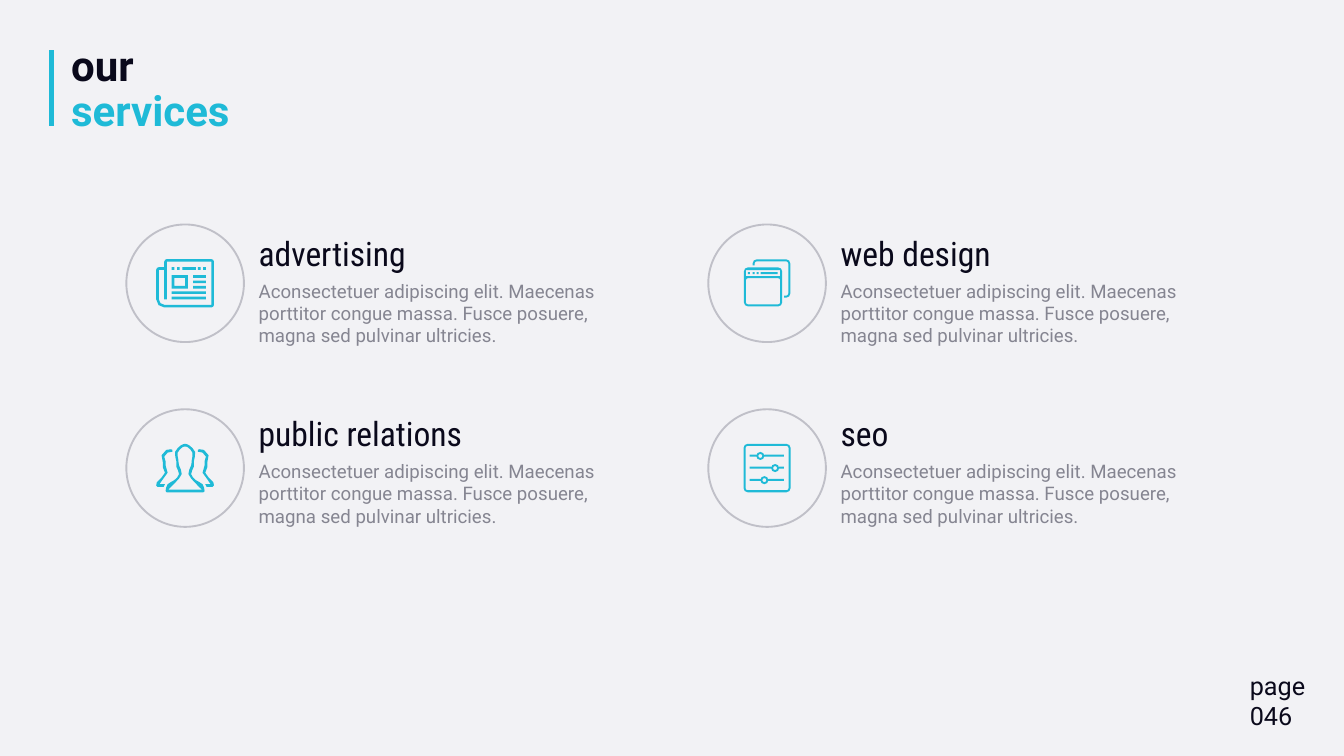
from dataclasses import dataclass

from lxml import etree
from pptx import Presentation
from pptx.dml.color import RGBColor
from pptx.enum import shapes, text
from pptx.oxml import ns
from pptx.util import Inches, Pt


@dataclass(frozen=True)
class Theme:
    background: str = "F2F2F5"
    accent: str = "1FBAD7"
    ink: str = "0A091B"
    muted: str = "858591"
    ring: str = "C0C0C8"
    font: str = "Roboto"
    heading_font: str = "Roboto Condensed"
    title_size: int = 45
    heading_size: int = 36
    page_size: int = 27
    body_size: int = 20


THEME = Theme()
CIRCLE = 1.75
COLUMNS = (1.88, 10.54)
ROWS = ((3.34, 3.41), (6.09, 6.09))  # circle top, heading top
DESCRIPTION = ("Aconsectetuer adipiscing elit. Maecenas porttitor congue massa. "
               "Fusce posuere, magna sed pulvinar ultricies.")


def rgb(value):
    return RGBColor.from_string(value)


# Icon contours: lists of points in inches from the icon's top left corner.

def rounded(corners):
    """Polygon from (x, y, radius) corners, each rounded with three points."""
    points = []
    for index, (x, y, radius) in enumerate(corners):
        if not radius:
            points.append((x, y))
            continue
        ends = []
        for near_x, near_y, _ in (corners[index - 1], corners[(index + 1) % len(corners)]):
            ratio = radius / ((near_x - x) ** 2 + (near_y - y) ** 2) ** 0.5
            ends.append((x + (near_x - x) * ratio, y + (near_y - y) * ratio))
        start, end = ends
        middle = tuple(0.42 * c + 0.29 * (a + b) for a, b, c in zip(start, end, (x, y)))
        points += [start, middle, end]
    return points


def box(left, top, width, height, radius=0):
    right, bottom = left + width, top + height
    return rounded([(left, top, radius), (right, top, radius),
                    (right, bottom, radius), (left, bottom, radius)])


def smooth(points):
    """Add the Catmull-Rom midpoint between neighbouring points."""
    padded = [points[0], *points, points[-1]]
    curve = []
    for a, b, c, d in zip(padded, padded[1:], padded[2:], padded[3:]):
        curve += [b, tuple((9 * (q + r) - p - s) / 16 for p, q, r, s in zip(a, b, c, d))]
    return curve + [points[-1]]


def newspaper():
    outer = [(0.12, 0, 0.04), (0.86, 0, 0.04), (0.86, 0.72, 0.04),
             (0, 0.72, 0.12), (0, 0.12, 0.04), (0.12, 0.12, 0)]
    inner = [(0.16, 0.04, 0), (0.82, 0.04, 0), (0.82, 0.68, 0), (0.04, 0.68, 0.08),
             (0.04, 0.16, 0), (0.12, 0.16, 0), (0.12, 0.6, 0), (0.16, 0.6, 0)]
    dots = [box(x, 0.12, 0.04, 0.04) for x in (0.23, 0.31, 0.62, 0.7)]
    short_lines = [box(0.55, y, 0.19, 0.04) for y in (0.24, 0.32, 0.4)]
    long_lines = [box(0.23, y, 0.51, 0.04) for y in (0.48, 0.56)]
    photo = [box(0.23, 0.24, 0.24, 0.2), box(0.27, 0.28, 0.16, 0.12)]
    return 0.86, 0.72, [rounded(outer), rounded(inner), box(0.39, 0.12, 0.2, 0.04),
                        *dots, *short_lines, *long_lines, *photo]


def people():
    width = 0.86
    front = [(0.43, 0), (0.37, 0.02), (0.28, 0.12), (0.3, 0.26), (0.3, 0.34),
             (0.34, 0.45), (0.27, 0.54), (0.17, 0.6), (0.14, 0.7), (0.16, 0.72)]
    front_inner = [(0.43, 0.04), (0.39, 0.05), (0.32, 0.13), (0.33, 0.24),
                   (0.34, 0.32), (0.38, 0.45), (0.28, 0.58), (0.18, 0.68)]
    side = [(0.24, 0.09), (0.22, 0.08), (0.15, 0.09), (0.08, 0.17), (0.1, 0.28),
            (0.1, 0.35), (0.13, 0.43), (0.08, 0.5), (0.01, 0.57), (0, 0.62),
            (0.02, 0.64), (0.11, 0.64), (0.13, 0.6), (0.05, 0.6), (0.09, 0.54),
            (0.17, 0.43), (0.14, 0.32), (0.14, 0.26), (0.12, 0.19), (0.17, 0.13),
            (0.22, 0.12), (0.24, 0.12)]

    def mirror(points):
        return [(width - x, y) for x, y in reversed(points)]

    halves = [smooth(front), smooth(front_inner)]
    return width, 0.72, [*(half + mirror(half) for half in halves), side, mirror(side)]


def windows():
    back = [(0.13, 0.09, 0), (0.13, 0, 0.06), (0.69, 0, 0.06), (0.69, 0.57, 0.06),
            (0.6, 0.57, 0), (0.6, 0.54, 0), (0.66, 0.54, 0.03), (0.66, 0.03, 0.03),
            (0.16, 0.03, 0.03), (0.16, 0.09, 0)]
    front = [box(0, 0.12, 0.57, 0.58, 0.06), box(0.03, 0.16, 0.51, 0.09),
             box(0.03, 0.28, 0.51, 0.39, 0.03)]
    dots = [box(x, 0.19, 0.03, 0.03) for x in (0.06, 0.13, 0.19)]
    return 0.69, 0.71, [rounded(back), *front, *dots, box(0.25, 0.19, 0.25, 0.03)]


def sliders():
    contours = [box(0, 0, 0.7, 0.72, 0.06), box(0.03, 0.03, 0.64, 0.66, 0.03)]
    for middle, knob in ((0.18, 0.25), (0.36, 0.47), (0.54, 0.31)):
        contours += [box(knob - r, middle - r, 2 * r, 2 * r, r) for r in (0.06, 0.03)]
        contours += [box(0.09, middle - 0.02, knob - 0.15, 0.03),
                     box(knob + 0.06, middle - 0.02, 0.54 - knob, 0.03)]
    return 0.7, 0.72, contours


def add_run(paragraph, content, size, color, font=THEME.font, bold=False):
    run = paragraph.add_run()
    run.text = content
    run.font.size = Pt(size)
    run.font.name = font
    run.font.bold = bold
    run.font.color.rgb = rgb(color)


def add_text_frame(parent, left, top, width, height):
    frame = parent.add_textbox(Inches(left), Inches(top), Inches(width), Inches(height)).text_frame
    frame.word_wrap = True
    frame.auto_size = text.MSO_AUTO_SIZE.SHAPE_TO_FIT_TEXT
    return frame


def add_icon(parent, center_x, center_y, icon):
    width, height, contours = icon
    left, top = center_x - width / 2, center_y - height / 2
    placed = [[(Inches(left + x), Inches(top + y)) for x, y in contour] for contour in contours]
    builder = parent.build_freeform(*placed[0][0])
    for index, contour in enumerate(placed):
        if index:
            builder.move_to(*contour[0])
        builder.add_line_segments(contour[1:], close=True)
    shape = builder.convert_to_shape()
    shape.shadow.inherit = False
    shape.fill.solid()
    shape.fill.fore_color.rgb = rgb(THEME.accent)
    shape.line.fill.background()


def add_service(slide, left, row, heading, icon):
    circle_top, text_top = row
    parent = slide.shapes.add_group_shape().shapes
    frame = add_text_frame(parent, left + 1.87, text_top + 0.7, 5.71, 1.11)
    add_run(frame.paragraphs[0], DESCRIPTION, THEME.body_size, THEME.muted)
    frame = add_text_frame(parent, left + 1.87, text_top, 5.25, 0.71)
    add_run(frame.paragraphs[0], heading, THEME.heading_size, THEME.ink, THEME.heading_font)
    circle = parent.add_shape(shapes.MSO_SHAPE.OVAL, Inches(left), Inches(circle_top),
                              Inches(CIRCLE), Inches(CIRCLE))
    circle.shadow.inherit = False
    circle.fill.solid()
    circle.fill.fore_color.rgb = rgb(THEME.background)
    circle.line.color.rgb = rgb(THEME.ring)
    circle.line.width = Pt(2)
    add_icon(parent, left + CIRCLE / 2, circle_top + CIRCLE / 2, icon)


def add_title(slide):
    rule = slide.shapes.add_connector(shapes.MSO_CONNECTOR.STRAIGHT, Inches(0.77), Inches(0.75),
                                      Inches(0.77), Inches(1.88))
    rule.line.color.rgb = rgb(THEME.accent)
    rule.line.width = Pt(5)
    etree.SubElement(rule._element.spPr, ns.qn("a:effectLst"))
    paragraph = add_text_frame(slide.shapes, 0.96, 0.62, 5.96, 1.46).paragraphs[0]
    paragraph.line_spacing = 0.9
    add_run(paragraph, "our", THEME.title_size, THEME.ink, bold=True)
    paragraph.add_line_break()
    add_run(paragraph, "services", THEME.title_size, THEME.accent, bold=True)


def add_page_number(slide):
    frame = add_text_frame(slide.shapes, 18.5, 9.92, 1.5, 1.04)
    add_run(frame.paragraphs[0], "page", THEME.page_size, THEME.ink)
    add_run(frame.add_paragraph(), "046", THEME.page_size, THEME.ink)


def main():
    presentation = Presentation()
    presentation.slide_width, presentation.slide_height = Inches(20), Inches(11.25)
    slide = presentation.slides.add_slide(presentation.slide_layouts[6])
    slide.background.fill.solid()
    slide.background.fill.fore_color.rgb = rgb(THEME.background)
    add_title(slide)
    add_page_number(slide)
    services = (("advertising", newspaper()), ("public relations", people()),
                ("web design", windows()), ("seo", sliders()))
    for index, (heading, icon) in enumerate(services):
        column, row = divmod(index, len(ROWS))
        add_service(slide, COLUMNS[column], ROWS[row], heading, icon)
    presentation.save("out.pptx")


if __name__ == "__main__":
    main()
